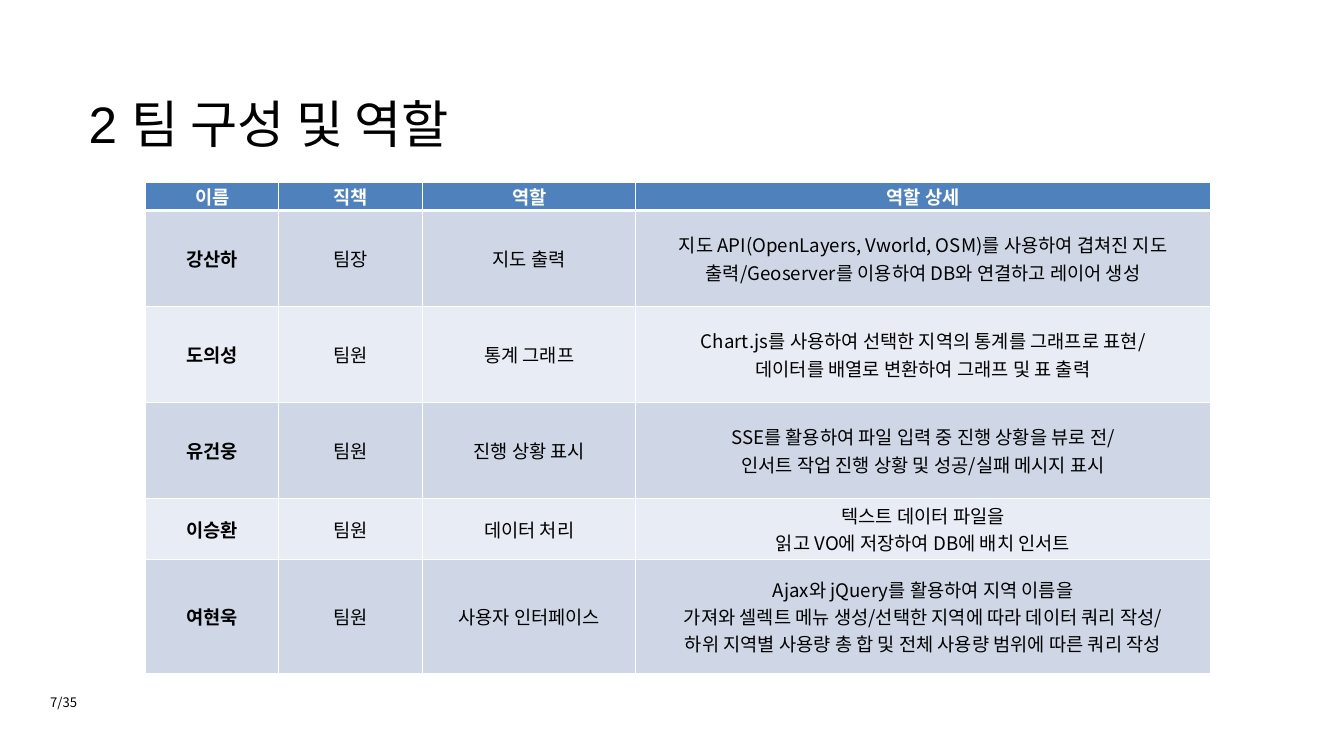
from dataclasses import dataclass

from lxml.etree import SubElement
from pptx import Presentation
from pptx.dml.color import RGBColor as RGB
from pptx.enum.text import MSO_ANCHOR as Anchor, PP_ALIGN as Align
from pptx.oxml import parse_xml
from pptx.oxml.ns import nsdecls, qn
from pptx.util import Cm, Pt


@dataclass(frozen=True)
class Theme:
    latin: str = "Arial"
    hangul: str = "Noto Sans CJK KR"
    black: str = "000000"
    white: str = "FFFFFF"
    head: str = "4F81BD"
    odd: str = "CFD7E7"
    even: str = "E8ECF4"
    title: int = 55
    body: int = 20
    page: int = 14


theme = Theme()


def style(frame, size, color=theme.black, face=theme.hangul, bold=False, align=Align.LEFT):
    """Format every paragraph of a text frame, Latin and Korean alike."""
    for para in frame.paragraphs:
        para.alignment = align
        font = para.font
        font.size, font.bold, font.name = Pt(size), bold, face
        font.color.rgb = RGB.from_string(color)
        run = para._p.pPr.find(qn("a:defRPr"))
        SubElement(run, qn("a:ea"), typeface=theme.hangul)


def border(cell, below):
    """Draw white cell borders; below is the width of the bottom one in points."""
    props = cell._tc.get_or_add_tcPr()
    for i, (side, width) in enumerate(zip("LRTB", (1, 1, 1, below))):
        props.insert(i, parse_xml(
            f'<a:ln{side} {nsdecls("a")} w="{Pt(width)}"><a:solidFill>'
            f'<a:srgbClr val="{theme.white}"/></a:solidFill></a:ln{side}>'))


deck = Presentation()
deck.slide_width, deck.slide_height = Cm(50.8), Cm(28.58)
slide = deck.slides.add_slide(deck.slide_layouts[5])

# Title
title = slide.shapes.title
title.left, title.top, title.width, title.height = Cm(3.1), Cm(3.33), Cm(37.24), Cm(2.62)
title.text_frame.text = "2 팀 구성 및 역할"
title.text_frame.vertical_anchor = Anchor.MIDDLE
style(title.text_frame, theme.title, face=theme.latin)

# Team table; each item of the last column is a list of lines
team = [
    ("이름", "직책", "역할", ["역할 상세"]),
    ("강산하", "팀장", "지도 출력",
     ["지도 API(OpenLayers, Vworld, OSM)를 사용하여 겹쳐진 지도 출력/Geoserver를 이용하여 DB와 연결하고 레이어 생성"]),
    ("도의성", "팀원", "통계 그래프",
     ["Chart.js를 사용하여 선택한 지역의 통계를 그래프로 표현/",
      "데이터를 배열로 변환하여 그래프 및 표 출력"]),
    ("유건웅", "팀원", "진행 상황 표시",
     ["SSE를 활용하여 파일 입력 중 진행 상황을 뷰로 전/",
      "인서트 작업 진행 상황 및 성공/실패 메시지 표시"]),
    ("이승환", "팀원", "데이터 처리",
     ["텍스트 데이터 파일을",
      "읽고 VO에 저장하여 DB에 배치 인서트"]),
    ("여현욱", "팀원", "사용자 인터페이스",
     ["Ajax와 jQuery를 활용하여 지역 이름을",
      "가져와 셀렉트 메뉴 생성/선택한 지역에 따라 데이터 쿼리 작성/",
      "하위 지역별 사용량 총 합 및 전체 사용량 범위에 따른 쿼리 작성"]),
]
widths = [5.03, 5.44, 8.05, 21.72]
heights = [1.07, 3.63, 3.63, 3.63, 2.29, 4.32]

table = slide.shapes.add_table(
    len(heights), len(widths), Cm(5.51), Cm(6.88), Cm(sum(widths)), Cm(sum(heights))).table
for col, width in zip(table.columns, widths):
    col.width = Cm(width)
for row, height in zip(table.rows, heights):
    row.height = Cm(height)

for r, (name, post, role, detail) in enumerate(team):
    head = r == 0
    fill = theme.head if head else theme.odd if r % 2 else theme.even
    for c, text in enumerate((name, post, role, "\v".join(detail))):
        cell = table.cell(r, c)
        cell.text = text
        cell.vertical_anchor = Anchor.MIDDLE
        if head:
            cell.margin_top = cell.margin_bottom = 0
        border(cell, 3 if head else 1)
        cell.fill.solid()
        cell.fill.fore_color.rgb = RGB.from_string(fill)
        style(cell.text_frame, theme.body, theme.white if head else theme.black,
              bold=head or c == 0, align=Align.CENTER)

# Page number
page = slide.shapes.add_textbox(Cm(1.65), Cm(26.14), Cm(2.16), Cm(0.86)).text_frame
page.word_wrap = True
page.text = "7/35"
style(page, theme.page)

deck.save("out.pptx")
